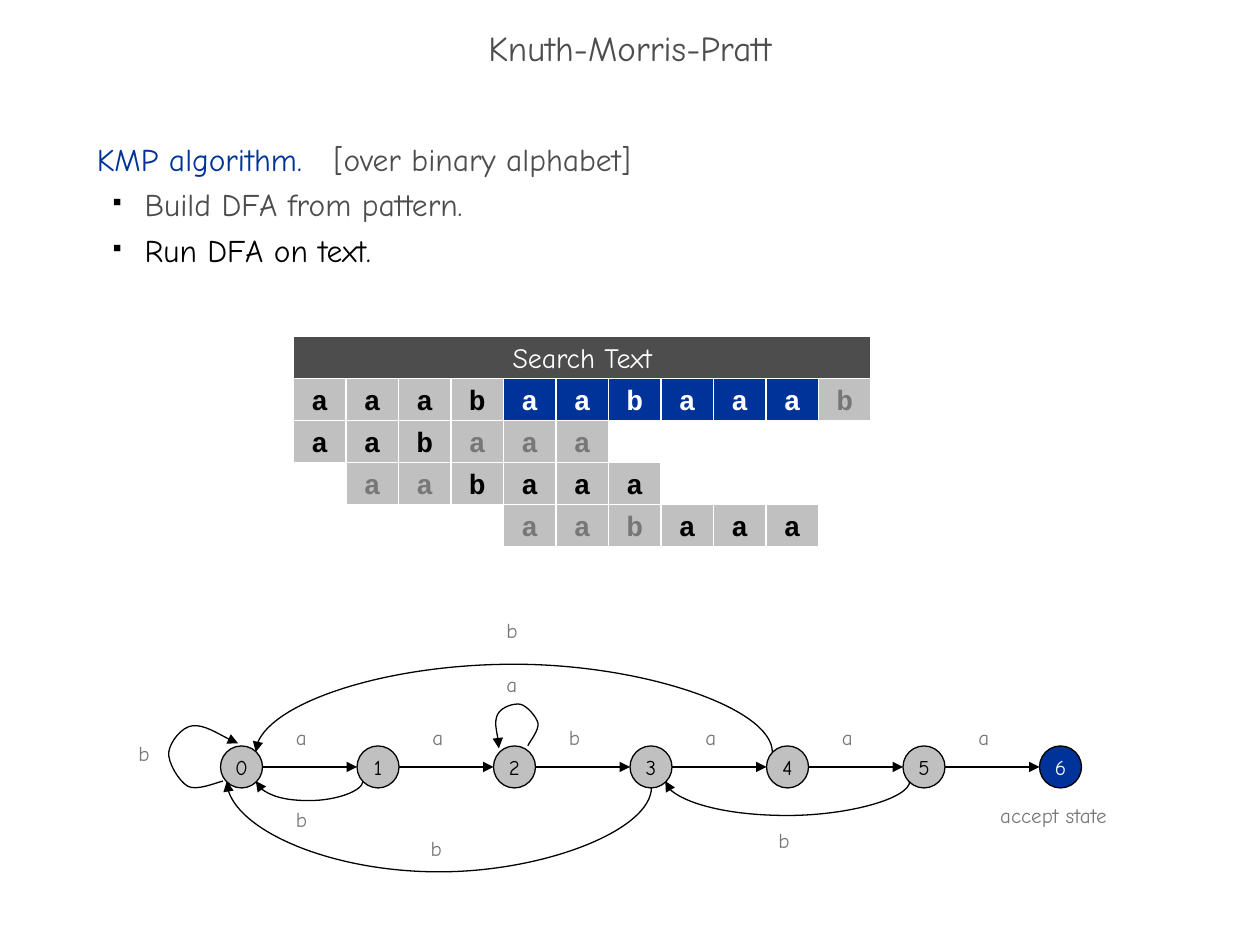
import pptx
import pptx.dml.color
import pptx.enum.shapes
import pptx.enum.text
import pptx.oxml
import pptx.oxml.ns
import pptx.util
from lxml import etree

Inches, Pt = pptx.util.Inches, pptx.util.Pt
RGBColor = pptx.dml.color.RGBColor
SHAPE = pptx.enum.shapes.MSO_SHAPE
CONNECTOR = pptx.enum.shapes.MSO_CONNECTOR
ALIGN = pptx.enum.text.PP_ALIGN
ANCHOR = pptx.enum.text.MSO_ANCHOR
qn = pptx.oxml.ns.qn

BLACK = RGBColor(0x00, 0x00, 0x00)
WHITE = RGBColor(0xFF, 0xFF, 0xFF)
BLUE = RGBColor(0x00, 0x33, 0x99)
DARK = RGBColor(0x4D, 0x4D, 0x4D)
MID = RGBColor(0x77, 0x77, 0x77)
LIGHT = RGBColor(0xC0, 0xC0, 0xC0)

SANS, MONO = "Comic Neue", "Courier New"

# Grid of text cells
GRID_X, GRID_Y = 2.33, 2.67
CELL_W, CELL_H = 5 / 12, 1 / 3
# First column, letters, and a style for each letter
ROWS = [
    (0, "aaabaabaaab", "kkkkwwwwwwg"),
    (0, "aabaaa", "kkkggg"),
    (1, "aabaaa", "ggkkkk"),
    (4, "aabaaa", "gggkkk"),
]
CELL_STYLES = {"k": (LIGHT, BLACK), "g": (LIGHT, MID), "w": (BLUE, WHITE)}

# Row of states
PATTERN = "aabaaa"
STATE_X, STATE_Y, STATE_D, STATE_STEP = 1.75, 5.92, 1 / 3, 13 / 12
# Start, end, rise (negative hangs below)
BACK_EDGES = [
    ((2.88, 6.2), (2.03, 6.2), -0.17),
    ((7.22, 6.2), (5.28, 6.2), -0.3),
    ((6.13, 5.97), (2.03, 5.97), 0.77),
    ((5.17, 6.25), (1.8, 6.2), -0.67),
]
BACK_LABELS = [
    ("b", 2.25, 6.35), ("b", 6.08, 6.52), ("b", 3.92, 4.85),
    ("b", 3.32, 6.58), ("b", 1, 5.83), ("a", 3.92, 5.28),
]
# Start point followed by Bezier control points, three to a curve
LOOPS = [
    [(1.77, 6.2), (1.72, 6.21), (1.56, 6.28), (1.49, 6.24),
     (1.42, 6.2), (1.33, 6.05), (1.34, 5.97),
     (1.35, 5.89), (1.44, 5.77), (1.53, 5.76),
     (1.62, 5.75), (1.81, 5.87), (1.89, 5.9)],
    [(4.19, 5.92), (4.2, 5.89), (4.28, 5.8), (4.27, 5.74),
     (4.26, 5.69), (4.18, 5.6), (4.13, 5.59),
     (4.08, 5.58), (3.98, 5.61), (3.95, 5.67),
     (3.92, 5.73), (3.96, 5.88), (3.96, 5.94)],
]


def format_run(r, size, color, font=SANS, bold=False):
    r.font.size, r.font.name, r.font.bold = Pt(size), font, bold
    r.font.color.rgb = color


def add_text(s, text, x, y, w, h, size, color):
    tf = s.shapes.add_textbox(Inches(x), Inches(y), Inches(w), Inches(h)).text_frame
    tf.word_wrap = True
    tf.text = text
    format_run(tf.paragraphs[0].runs[0], size, color)
    return tf


def add_label(s, text, x, y, w=0.42):
    add_text(s, text, x, y, w, 0.3, 12, MID)


def add_block(s, kind, text, x, y, w, h, fill, line, size, color, font=SANS, bold=False):
    sp = s.shapes.add_shape(kind, Inches(x), Inches(y), Inches(w), Inches(h))
    sp.shadow.inherit = False
    sp.fill.solid()
    sp.fill.fore_color.rgb = fill
    sp.line.color.rgb = line
    sp.line.width = Pt(0.75)
    tf = sp.text_frame
    tf.word_wrap = False
    tf.vertical_anchor = ANCHOR.MIDDLE
    tf.text = text
    p = tf.paragraphs[0]
    p.alignment = ALIGN.CENTER
    format_run(p.runs[0], size, color, font, bold)


def style_arrow(sp):
    sp.line.color.rgb = BLACK
    sp.line.width = Pt(0.75)
    etree.SubElement(sp.line._get_or_add_ln(), qn("a:tailEnd"), type="triangle")


def add_arrow(s, kind, x1, y1, x2, y2):
    c = s.shapes.add_connector(kind, Inches(x1), Inches(y1), Inches(x2), Inches(y2))
    style_arrow(c)
    etree.SubElement(c._element.spPr, qn("a:effectLst"))
    return c


def add_back_edge(s, start, end, rise):
    """Curve from right to left: a curved connector turned by 270 degrees."""
    c = add_arrow(s, CONNECTOR.CURVE, *start, *end)
    span = Inches(start[0] - end[0])
    thick = max(Inches(start[1] - end[1]), Pt(0.125))
    c.left = Inches((start[0] + end[0]) / 2) - thick // 2
    c.top = Inches((start[1] + end[1]) / 2) - span // 2
    c.width, c.height = thick, span
    xfrm = c._element.spPr.find(qn("a:xfrm"))
    xfrm.attrib.pop("flipH", None)
    xfrm.set("flipV", "1")
    xfrm.set("rot", str(270 * 60000))
    guides = c._element.spPr.find(qn("a:prstGeom")).get_or_add_avLst()
    bend = round(Inches(rise) / thick * 100000)
    etree.SubElement(guides, qn("a:gd"), name="adj1", fmla=f"val {bend}")


def add_loop(s, points):
    points = [(Inches(x), Inches(y)) for x, y in points]
    builder = s.shapes.build_freeform(*points[0])
    builder.add_line_segments(points[1:], close=False)
    sp = builder.convert_to_shape()
    sp.shadow.inherit = False
    sp.fill.background()
    style_arrow(sp)
    # Each three line ends become the control points of one curve
    lines = list(sp._element.iter(qn("a:lnTo")))
    for i in range(0, len(lines), 3):
        curve = etree.Element(qn("a:cubicBezTo"))
        lines[i].addprevious(curve)
        for line in lines[i:i + 3]:
            curve.append(line[0])
            line.getparent().remove(line)


def add_bullet(p):
    pPr = p._p.get_or_add_pPr()
    pPr.set("marL", str(Inches(0.38)))
    pPr.set("indent", str(Inches(-0.25)))
    color = etree.SubElement(pPr, qn("a:buClr"))
    etree.SubElement(color, qn("a:srgbClr"), val=str(BLACK))
    etree.SubElement(pPr, qn("a:buSzPct"), val="35000")
    etree.SubElement(pPr, qn("a:buChar"), char="■")


def add_body(s):
    tf = add_text(s, "KMP algorithm.\t", 0.67, 1, 8.58, 5.92, 18, BLUE)
    p = tf.paragraphs[0]
    p.line_spacing = Pt(26)
    tabs = etree.SubElement(p._p.get_or_add_pPr(), qn("a:tabLst"))
    etree.SubElement(tabs, qn("a:tab"), pos=str(Inches(1.88)), algn="l")
    r = p.add_run()
    r.text = "[over binary alphabet]"
    format_run(r, 18, DARK)
    for text, color in [("Build DFA from pattern.", DARK), ("Run DFA on text.", BLACK)]:
        p = tf.add_paragraph()
        p.text = text
        p.level = 1
        p.line_spacing = Pt(26)
        add_bullet(p)
        format_run(p.runs[0], 18, color)


def add_search_grid(s):
    add_block(s, SHAPE.RECTANGLE, "Search Text", GRID_X, GRID_Y, 11 * CELL_W, CELL_H,
              DARK, WHITE, 16, WHITE)
    for row, (first, letters, styles) in enumerate(ROWS, 1):
        for col, (letter, style) in enumerate(zip(letters, styles), first):
            fill, color = CELL_STYLES[style]
            add_block(s, SHAPE.RECTANGLE, letter, GRID_X + col * CELL_W,
                      GRID_Y + row * CELL_H, CELL_W, CELL_H, fill, WHITE, 16, color, MONO, True)


def add_automaton(s):
    final = len(PATTERN)
    for i in range(final + 1):
        x = STATE_X + i * STATE_STEP
        fill, color = (BLUE, WHITE) if i == final else (LIGHT, BLACK)
        add_block(s, SHAPE.OVAL, str(i), x, STATE_Y, STATE_D, STATE_D, fill, BLACK, 12, color)
        if i < final:
            y = STATE_Y + STATE_D / 2
            add_arrow(s, CONNECTOR.STRAIGHT, x + STATE_D, y, x + STATE_STEP, y)
            add_label(s, PATTERN[i], x + 0.5, 5.7)
    for edge in BACK_EDGES:
        add_back_edge(s, *edge)
    for points in LOOPS:
        add_loop(s, points)
    for label in BACK_LABELS:
        add_label(s, *label)
    add_label(s, "accept state", 7.84, 6.32, 1.33)


def main():
    prs = pptx.Presentation()
    prs.slide_width, prs.slide_height = Inches(10), Inches(7.5)
    s = prs.slides.add_slide(prs.slide_layouts[6])
    # Title
    tf = add_text(s, "Knuth-Morris-Pratt", 0, 0.17, 10, 0.5, 20, DARK)
    tf.vertical_anchor = ANCHOR.MIDDLE
    tf.paragraphs[0].alignment = ALIGN.CENTER
    tf.paragraphs[0].line_spacing = 0.7
    # Content
    add_body(s)
    add_search_grid(s)
    add_automaton(s)
    prs.save("out.pptx")


if __name__ == "__main__":
    main()
